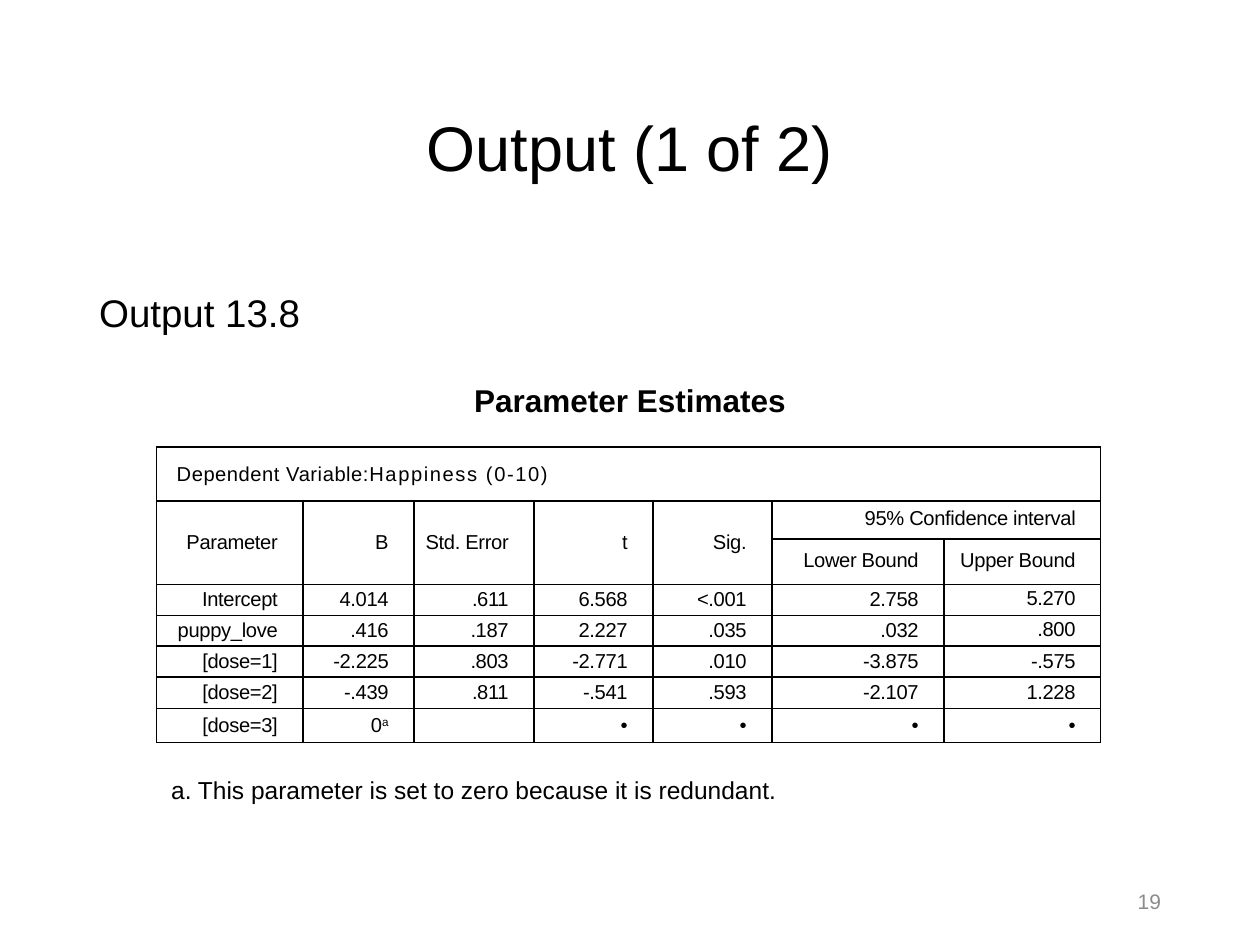
"""Build the parameter estimates slide."""
import dataclasses

import lxml.etree
import pptx
import pptx.dml.color
import pptx.enum.text
import pptx.oxml.ns
import pptx.util

Pt = pptx.util.Pt
Align = pptx.enum.text.PP_ALIGN
Anchor = pptx.enum.text.MSO_ANCHOR
AutoSize = pptx.enum.text.MSO_AUTO_SIZE


@dataclasses.dataclass(frozen=True)
class Theme:
    font: str = "Arial"
    ink: str = "000000"
    muted: str = "8C8C8C"
    title: float = 36
    body: float = 22
    caption: float = 18
    note: float = 14
    number: float = 12
    cell: float = 11.5
    border: float = 1


COLUMNS = [83.6, 63.4, 68.6, 68, 68, 98.3, 89.7]
ROWS = [31, 21.6, 25.9, 17.8, 17.6, 17.8, 17.8, 19.6]
CELLS = [
    ["", "", "", "", "", "", ""],
    ["Parameter", "B", "Std. Error", "t", "Sig.", "95% Confidence interval", ""],
    ["", "", "", "", "", "Lower Bound", "Upper Bound"],
    ["Intercept", "4.014", ".611", "6.568", "<.001", "2.758", "5.270"],
    ["puppy_love", ".416", ".187", "2.227", ".035", ".032", ".800"],
    ["[dose=1]", "-2.225", ".803", "-2.771", ".010", "-3.875", "-.575"],
    ["[dose=2]", "-.439", ".811", "-.541", ".593", "-2.107", "1.228"],
    ["[dose=3]", "0", "", "•", "•", "•", "•"],
]
MERGES = [(0, 0, 0, 6), (1, 5, 1, 6)] + [(1, column, 2, column) for column in range(5)]
TIGHT = {(1, 5), (2, 5), (2, 6), (3, 6), (4, 6)}


class Slide:
    def __init__(self, deck, theme):
        self.theme = theme
        self.page = deck.slides.add_slide(deck.slide_layouts[1])

    def add_span(self, para, text, size, color=None, bold=False, spacing=0, raised=0):
        span = para.add_run()
        span.text = text
        span.font.name = self.theme.font
        span.font.size = Pt(size)
        span.font.bold = bold
        span.font.color.rgb = pptx.dml.color.RGBColor.from_string(color or self.theme.ink)
        properties = span._r.get_or_add_rPr()
        if spacing:
            properties.set("spc", str(round(spacing * 100)))
        if raised:
            properties.set("baseline", str(raised * 1000))

    def place(self, box, left, top, width, height):
        box.left, box.top, box.width, box.height = map(Pt, (left, top, width, height))

    def title(self, text, *place):
        box = self.page.shapes.title
        self.place(box, *place)
        frame = box.text_frame
        frame.auto_size = AutoSize.NONE
        frame.vertical_anchor = Anchor.MIDDLE
        para = frame.paragraphs[0]
        para.alignment = Align.CENTER
        para.line_spacing = 0.9
        self.add_span(para, text, self.theme.title)

    def body(self, text, *place):
        box = self.page.placeholders[1]
        self.place(box, *place)
        frame = box.text_frame
        frame.auto_size = AutoSize.NONE
        frame.margin_top = Pt(6)
        para = frame.paragraphs[0]
        para.space_before = Pt(0)
        properties = para._p.get_or_add_pPr()
        properties.set("marL", "0")
        properties.set("indent", "0")
        lxml.etree.SubElement(properties, pptx.oxml.ns.qn("a:buNone"))
        self.add_span(para, text, self.theme.body)

    def text(self, text, *place, size, align=Align.LEFT, anchor=Anchor.TOP, **style):
        frame = self.page.shapes.add_textbox(*map(Pt, place)).text_frame
        frame.word_wrap = True
        frame.vertical_anchor = anchor
        para = frame.paragraphs[0]
        para.alignment = align
        self.add_span(para, text, size, **style)

    def outline(self, cell):
        qn = pptx.oxml.ns.qn
        properties = cell._tc.get_or_add_tcPr()
        for side in ("lnL", "lnR", "lnT", "lnB"):
            line = lxml.etree.SubElement(properties, qn("a:" + side), w=str(Pt(self.theme.border)))
            fill = lxml.etree.SubElement(line, qn("a:solidFill"))
            lxml.etree.SubElement(fill, qn("a:srgbClr"), val=self.theme.ink)

    def cell(self, cell, text, tight):
        self.outline(cell)
        cell.fill.background()
        cell.margin_left, cell.margin_right = Pt(5), Pt(14.4)
        cell.margin_top = cell.margin_bottom = Pt(0)
        cell.vertical_anchor = Anchor.MIDDLE
        para = cell.text_frame.paragraphs[0]
        para.alignment = Align.RIGHT
        if tight:
            para.line_spacing = 0.8
        if text:
            self.add_span(para, text, self.theme.cell, spacing=-0.2)
        else:
            para._p.get_or_add_endParaRPr().set("sz", str(round(self.theme.cell * 100)))

    def table(self, left, top):
        place = map(Pt, (left, top, sum(COLUMNS), sum(ROWS)))
        table = self.page.shapes.add_table(len(ROWS), len(COLUMNS), *place).table
        table.first_row = table.horz_banding = False
        for column, width in zip(table.columns, COLUMNS):
            column.width = Pt(width)
        for row, height in zip(table.rows, ROWS):
            row.height = Pt(height)
        for row, texts in enumerate(CELLS):
            for column, text in enumerate(texts):
                self.cell(table.cell(row, column), text, (row, column) in TIGHT)
        for first_row, first_column, last_row, last_column in MERGES:
            table.cell(first_row, first_column).merge(table.cell(last_row, last_column))
        heading = table.cell(0, 0)
        heading.margin_left = Pt(11.5)
        para = heading.text_frame.paragraphs[0]
        para.alignment = Align.LEFT
        self.add_span(para, "Dependent Variable:", self.theme.cell, spacing=0.3)
        self.add_span(para, "Happiness (0-10)", self.theme.cell, spacing=0.9)
        redundant = table.cell(7, 1).text_frame.paragraphs[0]
        self.add_span(redundant, "a", self.theme.cell, spacing=-0.2, raised=30)


def main():
    deck = pptx.Presentation()
    deck.slide_width, deck.slide_height = Pt(720), Pt(540)
    theme = Theme()
    slide = Slide(deck, theme)
    slide.title("Output (1 of 2)", 49.5, 34, 621, 104.4)
    slide.body("Output 13.8", 49.5, 159, 621, 47.5)
    slide.text("Parameter Estimates", 177, 214, 366, 29,
               size=theme.caption, align=Align.CENTER, bold=True)
    slide.table(89.5, 255.4)
    slide.text("a. This parameter is set to zero because it is redundant.",
               90.7, 439.2, 433, 24.5, size=theme.note)
    slide.text("19", 508.5, 500.5, 162, 28.8, size=theme.number,
               align=Align.RIGHT, anchor=Anchor.MIDDLE, color=theme.muted)
    deck.save("out.pptx")


if __name__ == "__main__":
    main()
